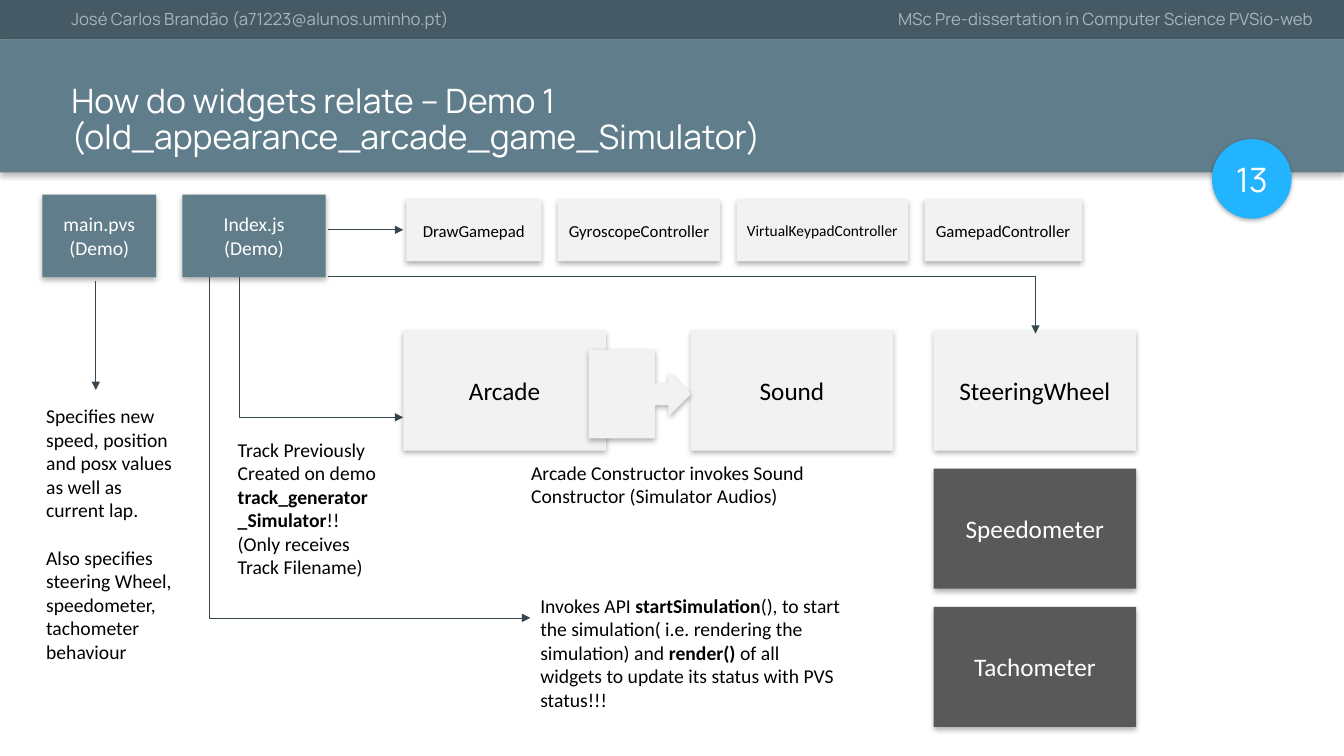
from dataclasses import dataclass

import lxml.etree
import pptx
import pptx.dml.color
import pptx.enum.shapes
import pptx.enum.text
import pptx.oxml
import pptx.oxml.ns
import pptx.util

Inches = pptx.util.Inches
SHAPES = pptx.enum.shapes.MSO_SHAPE
CONNECTORS = pptx.enum.shapes.MSO_CONNECTOR
qn = pptx.oxml.ns.qn


@dataclass(frozen=True)
class Theme:
    heading_font: str = "Manrope"
    body_font: str = "Calibri"
    strip: str = "455A64"
    banner: str = "607D8B"
    strip_text: str = "A7B5BE"
    badge: str = "23B4FF"
    source: str = "617D8A"
    light: str = "F2F2F2"
    dark: str = "595959"
    line: str = "37474F"
    white: str = "FFFFFF"
    black: str = "000000"
    title_size: int = 24
    widget_size: int = 18
    note_size: int = 14
    small_size: int = 12
    tiny_size: int = 11


THEME = Theme()


def rgb(value):
    return pptx.dml.color.RGBColor.from_string(value)


def style(paragraph, size, color, font=THEME.body_font):
    paragraph.font.size = pptx.util.Pt(size)
    paragraph.font.name = font
    paragraph.font.color.rgb = rgb(color)


def add_shadow(shape, blur=4, distance=2):
    shape.shadow.inherit = False
    effects = shape._element.spPr.find(qn("a:effectLst"))
    shadow = lxml.etree.SubElement(
        effects, qn("a:outerShdw"), blurRad=str(pptx.util.Pt(blur)),
        dist=str(pptx.util.Pt(distance)), dir="5400000", algn="t", rotWithShape="0")
    color = lxml.etree.SubElement(shadow, qn("a:srgbClr"), val=THEME.black)
    lxml.etree.SubElement(color, qn("a:alpha"), val="30000")


def add_block(slide, box, fill, text="", size=THEME.widget_size, color=THEME.black,
              font=THEME.body_font, kind=SHAPES.RECTANGLE, shadow=(4, 2)):
    shape = slide.shapes.add_shape(kind, *map(Inches, box))
    shape.fill.solid()
    shape.fill.fore_color.rgb = rgb(fill)
    shape.line.fill.background()
    add_shadow(shape, *shadow)
    if text:
        frame = shape.text_frame
        frame.word_wrap = True
        frame.vertical_anchor = pptx.enum.text.MSO_ANCHOR.MIDDLE
        paragraph = frame.paragraphs[0]
        paragraph.text = text
        paragraph.alignment = pptx.enum.text.PP_ALIGN.CENTER
        style(paragraph, size, color, font)


def add_text(slide, box, paragraphs, size=THEME.note_size, color=THEME.black,
             font=THEME.body_font, line_spacing=None, gap=0):
    frame = slide.shapes.add_textbox(*map(Inches, box)).text_frame
    frame.word_wrap = True
    for index, runs in enumerate(paragraphs):
        paragraph = frame.add_paragraph() if index else frame.paragraphs[0]
        if index:
            paragraph.space_before = pptx.util.Pt(gap)
        if line_spacing:
            paragraph.line_spacing = line_spacing
        style(paragraph, size, color, font)
        for text, bold in runs:
            run = paragraph.add_run()
            run.text = text
            if bold:
                run.font.bold = True


def add_arrow(slide, start, end, preset="line"):
    kind = CONNECTORS.STRAIGHT if preset == "line" else CONNECTORS.ELBOW
    connector = slide.shapes.add_connector(kind, *map(Inches, start + end))
    connector.line.color.rgb = rgb(THEME.line)
    connector.line.width = pptx.util.Pt(0.5)
    properties = connector._element.spPr
    geometry = properties.find(qn("a:prstGeom"))
    geometry.set("prst", preset)
    if preset == "bentConnector3":
        guides = geometry.get_or_add_avLst()
        lxml.etree.SubElement(guides, qn("a:gd"), name="adj1", fmla="val 0")
    lxml.etree.SubElement(properties.find(qn("a:ln")), qn("a:tailEnd"), type="triangle")
    lxml.etree.SubElement(properties, qn("a:effectLst"))


def add_header(slide, box):
    left, top, width, height = box
    strip_height = 0.39
    add_block(slide, (left, top, width, strip_height), THEME.strip)
    add_block(slide, (left, top + strip_height, width, height - strip_height), THEME.banner)
    add_text(slide, (left + 0.61, top + 0.79, 11.3, 0.86),
             [[("How do widgets relate – Demo 1 (old_appearance_arcade_game_Simulator)", False)]],
             THEME.title_size, THEME.white, THEME.heading_font, 0.9)
    for offset, label_width, label in (
            (0.61, 4.17, "José Carlos Brandão (a71223@alunos.uminho.pt)"),
            (8.81, 4.5, "MSc Pre-dissertation in Computer Science PVSio-web")):
        add_text(slide, (left + offset, top + 0.06, label_width, 0.33), [[(label, False)]],
                 THEME.small_size, THEME.strip_text, THEME.heading_font, 0.9)
    add_block(slide, (left + 12.02, top + height - 0.33, 0.79, 0.79), THEME.badge, "13",
              THEME.title_size, THEME.white, THEME.heading_font, SHAPES.OVAL, (3, 1))


def add_controllers(slide, box):
    left, top, width, height = box
    controllers = (("DrawGamepad", 1.34, THEME.small_size),
                   ("GyroscopeController", 1.61, THEME.small_size),
                   ("VirtualKeypadController", 1.7, THEME.tiny_size),
                   ("GamepadController", 1.56, THEME.small_size))
    gap = (width - sum(item[1] for item in controllers)) / (len(controllers) - 1)
    for name, block_width, size in controllers:
        add_block(slide, (left, top, block_width, height), THEME.light, name, size)
        left += block_width + gap


def add_widgets(slide, box):
    left, top, width, height = box
    block_width, block_height = 2.01, 1.19
    pitch = (height - block_height) / 2
    last = left + width - block_width
    for x, row, name, fill, color in (
            (left, 0, "Arcade", THEME.light, THEME.black),
            (left + 2.85, 0, "Sound", THEME.light, THEME.black),
            (last, 0, "SteeringWheel", THEME.light, THEME.black),
            (last, 1, "Speedometer", THEME.dark, THEME.white),
            (last, 2, "Tachometer", THEME.dark, THEME.white)):
        add_block(slide, (x, top + row * pitch, block_width, block_height),
                  fill, name, color=color)
    add_block(slide, (left + 1.84, top + 0.19, 1.01, 0.88), THEME.light,
              kind=SHAPES.RIGHT_ARROW_CALLOUT)
    add_text(slide, (left + 1.17, top + 1.24, 3.07, 0.57),
             [[("Arcade Constructor invokes Sound Constructor (Simulator Audios)", False)]])


def add_sources(slide, box):
    left, top, width, height = box
    for x, block_width, name in ((left, 1.13, "main.pvs (Demo)"),
                                 (left + width - 1.42, 1.42, "Index.js (Demo)")):
        add_block(slide, (x, top, block_width, height), THEME.source, name,
                  THEME.note_size, THEME.white)


def add_notes(slide, box):
    left, top, width, height = box
    add_text(slide, (left, top, 1.57, 2.69),
             [[("Specifies new speed, position and posx values as well as current lap.", False)],
              [("Also specifies steering Wheel, speedometer, tachometer behaviour", False)]],
             gap=17)
    add_text(slide, (left + 1.9, top + 0.33, 1.57, 1.51),
             [[("Track Previously Created on demo ", False),
               ("track_generator_Simulator", True),
               ("!! (Only receives Track Filename)", False)]])
    add_text(slide, (left + width - 3.22, top + height - 1.28, 3.22, 1.28),
             [[("Invokes API ", False), ("startSimulation", True),
               ("(), to start the simulation( i.e. rendering the simulation) and ", False),
               ("render() ", True),
               ("of all widgets to update its status with PVS status!!!", False)]])


def add_arrows(slide, box):
    left, top, width, height = box
    bottom = top + 0.47
    add_arrow(slide, (left, top + 0.51), (left, top + 1.59))
    add_arrow(slide, (left + 2.3, top), (left + 3.05, top))
    add_arrow(slide, (left + 2.3, top + 0.46), (left + width, top + 1.03), "bentConnector2")
    add_arrow(slide, (left + 1.42, bottom), (left + 3.05, top + 1.86), "bentConnector3")
    add_arrow(slide, (left + 1.13, bottom), (left + 4.31, top + height), "bentConnector3")


def main():
    presentation = pptx.Presentation()
    presentation.slide_width = Inches(13.33)
    presentation.slide_height = Inches(7.5)
    slide = presentation.slides.add_slide(presentation.slide_layouts[6])
    add_header(slide, (0, 0, 13.33, 1.71))
    add_widgets(slide, (4, 3.28, 7.27, 3.93))
    add_controllers(slide, (4.03, 1.98, 6.7, 0.61))
    add_sources(slide, (0.42, 1.93, 2.81, 0.82))
    add_notes(slide, (0.36, 3.96, 8.12, 3.16))
    add_arrows(slide, (0.95, 2.28, 9.32, 3.85))
    presentation.save("out.pptx")


if __name__ == "__main__":
    main()
